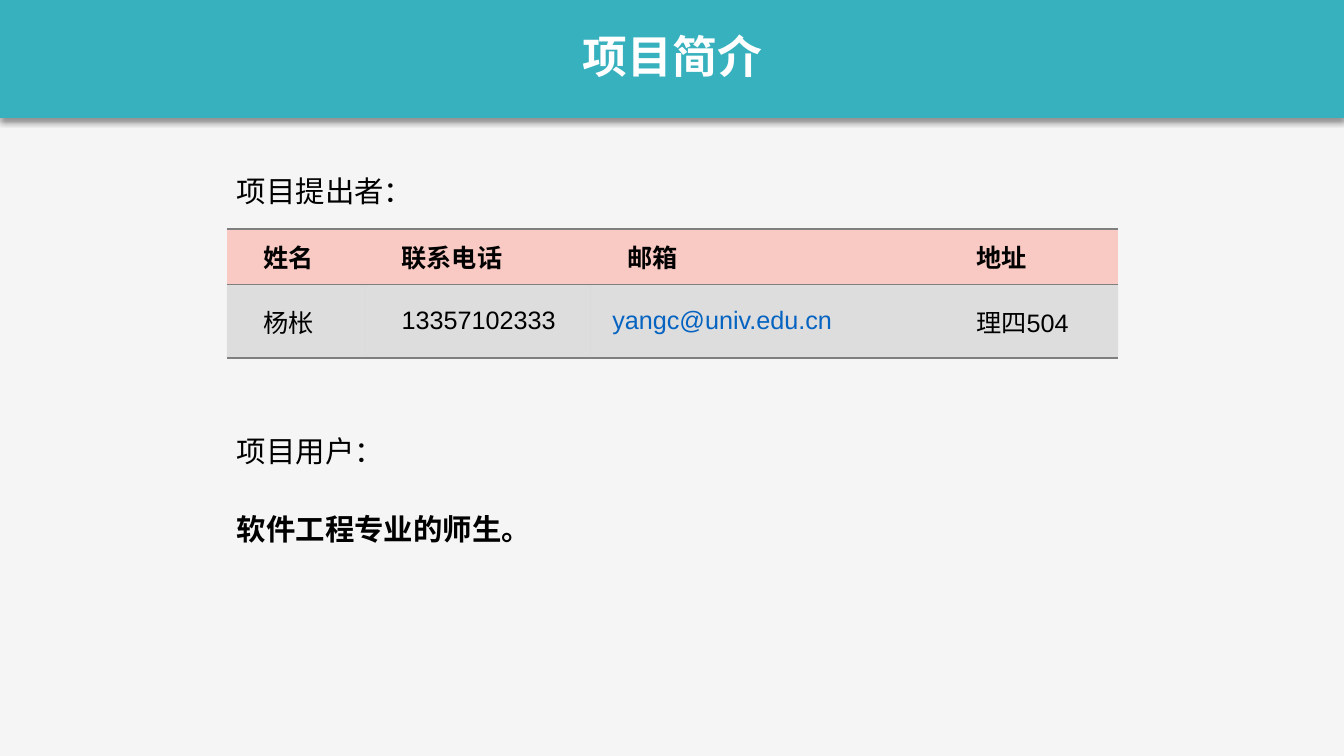
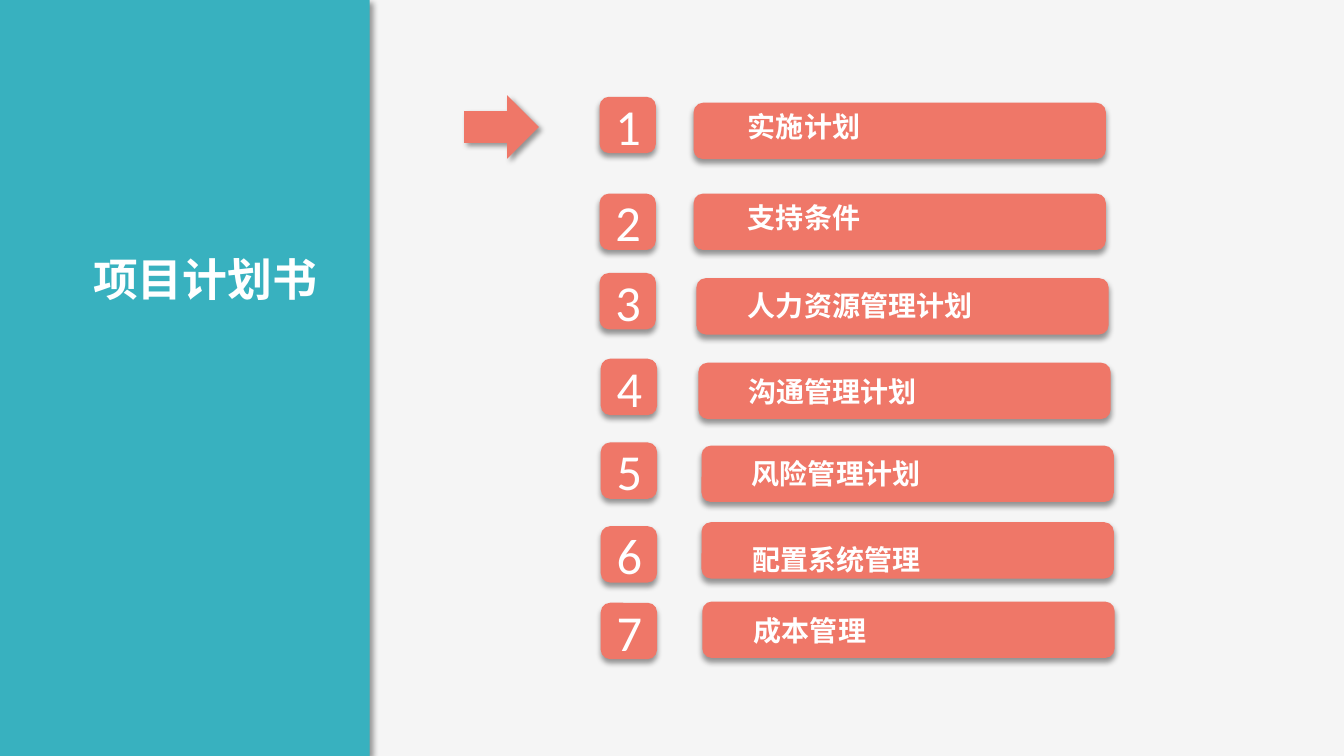
from dataclasses import dataclass

from lxml.etree import SubElement
from pptx import Presentation
from pptx.dml.color import RGBColor
from pptx.enum.shapes import MSO_SHAPE
from pptx.enum.text import MSO_ANCHOR, PP_ALIGN
from pptx.oxml import parse_xml
from pptx.oxml.ns import nsdecls, qn
from pptx.util import Cm, Pt


@dataclass(frozen=True)
class Theme:
    page: str = "F5F5F5"
    teal: str = "38B1BF"
    coral: str = "EF7768"
    pink: str = "F9C9C3"
    gray: str = "7F7F7F"
    blue: str = "0563C1"
    black: str = "000000"
    white: str = "FFFFFF"
    head: str = "Noto Sans CJK SC"
    body: str = "Calibri"
    grid: str = "Arial"
    title: int = 32
    digit: int = 36
    text: int = 21
    label: int = 20
    cell: int = 18


T = Theme()
WIDE, HIGH = 33.87, 19.05
THIN, LOOSE = (0.25, 0.13), (0.33, 0.18)

INTRO = "项目简介"
NOTES = [  # text, top, width, bold
    ("项目提出者：", 4.24, 10.03, False),
    ("项目用户：", 10.8, 4.17, False),
    ("软件工程专业的师生。", 12.75, 18.67, True),
]
LEFT = 5.72
COLS = [3.48, 5.69, 8.79, 4.5]
ROWS = [1.4, 1.85]
CELLS = [
    ["姓名", "联系电话", "邮箱", "地址"],
    ["杨枨", "13357102333", "yangc@univ.edu.cn", "理四504"],
]

PLAN = "项目计划书"
STEPS = [  # text, digit (left, top), bar (left, top), label (left, top)
    ("实施计划", (15.11, 2.44), (17.48, 2.59), (18.52, 2.59)),
    ("支持条件", (15.11, 4.88), (17.48, 4.88), (18.52, 4.88)),
    ("人力资源管理计划", (15.11, 6.88), (17.55, 7.01), (18.52, 7.11)),
    ("沟通管理计划", (15.14, 9.04), (17.6, 9.14), (18.54, 9.27)),
    ("风险管理计划", (15.14, 11.15), (17.68, 11.23), (18.62, 11.33)),
    ("配置系统管理", (15.14, 13.26), (17.68, 13.16), (18.64, 13.49)),
    ("成本管理", (15.14, 15.19), (17.7, 15.16), (18.67, 15.29)),
]
SIDE, BAR, LABEL = 1.42, 10.39, (7.59, 1.19)


def rgb(hue):
    return RGBColor.from_string(hue)


def box(*nums):
    return [Cm(n) for n in nums]


def write(para, text, font, size, hue, bold=False):
    """Add one run, with the CJK face set next to the Latin one."""
    run = para.add_run()
    run.text = text
    face = run.font
    face.size, face.bold, face.name = Pt(size), bold, font
    face.color.rgb = rgb(hue)
    SubElement(face._element, qn("a:ea")).set("typeface", T.head)


def fit(frame, pad, align=PP_ALIGN.LEFT, wrap=True):
    """Set insets, wrap and anchor; return the first paragraph."""
    frame.margin_left = frame.margin_right = Cm(pad[0])
    frame.margin_top = frame.margin_bottom = Cm(pad[1])
    frame.word_wrap = wrap
    frame.vertical_anchor = MSO_ANCHOR.MIDDLE
    para = frame.paragraphs[0]
    para.alignment = align
    return para


def block(shapes, kind, spot, hue, angle=90):
    """Draw a filled preset shape with a soft shadow."""
    shape = shapes.add_shape(kind, *box(*spot))
    shape.fill.solid()
    shape.fill.fore_color.rgb = rgb(hue)
    shape.line.fill.background()
    shape.shadow.inherit = False
    shape._element.spPr.find(qn("a:effectLst")).append(parse_xml(
        f'<a:outerShdw {nsdecls("a")} blurRad="{Pt(4)}" dist="{Pt(3)}" '
        f'dir="{angle * 60000}" algn="ctr" rotWithShape="0">'
        f'<a:srgbClr val="{T.black}"><a:alpha val="40000"/></a:srgbClr>'
        '</a:outerShdw>'))
    return shape


def note(shapes, text, spot, pad, *style):
    area = shapes.add_textbox(*box(*spot))
    write(fit(area.text_frame, pad), text, *style)


def start(deck, text, spot, pad, align, wrap, band, angle):
    """Add a slide with its title on a teal band."""
    slide = deck.slides.add_slide(deck.slide_layouts[5])
    title = slide.shapes.title
    title.left, title.top, title.width, title.height = box(*spot)
    para = fit(title.text_frame, pad, align, wrap)
    write(para, text, T.head, T.title, T.white, True)
    back = block(slide.shapes, MSO_SHAPE.RECTANGLE, band, T.teal, angle)
    title._element.addprevious(back._element)
    return slide.shapes


def rule(cell):
    """Draw the gray lines above and below a cell."""
    props = cell._tc.get_or_add_tcPr()
    for tag in ("lnB", "lnT"):
        props.insert(0, parse_xml(
            f'<a:{tag} {nsdecls("a")} w="{Pt(1)}"><a:solidFill>'
            f'<a:srgbClr val="{T.gray}"/></a:solidFill></a:{tag}>'))


def paint(cell, top):
    cell.fill.solid()
    cell.fill.fore_color.rgb = rgb(T.pink if top else T.gray)
    if not top:
        tint = cell._tc.tcPr.find(f'{qn("a:solidFill")}/{qn("a:srgbClr")}')
        SubElement(tint, qn("a:alpha")).set("val", "20000")
    rule(cell)


def table(shapes):
    spot = box(LEFT, 5.77, sum(COLS), sum(ROWS))
    grid = shapes.add_table(len(ROWS), len(COLS), *spot).table
    style = grid._tbl.tblPr.find(qn("a:tableStyleId"))
    style.text = "{2D5ABB26-0587-4C30-8999-92F81FD0307C}"
    grid.horz_banding = False
    for col, wide in zip(grid.columns, COLS):
        col.width = Cm(wide)
    for r, line in enumerate(CELLS):
        grid.rows[r].height = Cm(ROWS[r])
        for c, text in enumerate(line):
            cell = grid.cell(r, c)
            paint(cell, r == 0)
            cell.margin_left = cell.margin_right = Cm(0.18)
            cell.margin_top = cell.margin_bottom = 0
            cell.vertical_anchor = MSO_ANCHOR.MIDDLE
            mail = "@" in text
            para = cell.text_frame.paragraphs[0]
            para._p.get_or_add_pPr().set("indent", str(Cm(0.36 if mail else 0.74)))
            write(para, text, T.grid, T.cell, T.blue if mail else T.black, r == 0)


def intro(deck):
    shapes = start(deck, INTRO, (14.43, 0.58, 5.03, 1.63), THIN,
                   PP_ALIGN.CENTER, False, (0, 0, WIDE, 2.97), 90)
    table(shapes)
    for text, top, wide, bold in NOTES:
        note(shapes, text, (LEFT, top, wide, 1.14), THIN,
             T.body, T.text, T.black, bold)


def plan(deck):
    shapes = start(deck, PLAN, (0.53, 6.17, 7.8, 1.7), LOOSE,
                   PP_ALIGN.RIGHT, True, (0, 0, 9.32, HIGH), 45)
    block(shapes, MSO_SHAPE.RIGHT_ARROW, (11.7, 2.4, 1.88, 1.6), T.coral, 45)
    form = MSO_SHAPE.ROUNDED_RECTANGLE
    for num, (text, tile, bar, label) in enumerate(STEPS, 1):
        digit = block(shapes, form, (*tile, SIDE, SIDE), T.coral)
        para = fit(digit.text_frame, LOOSE, PP_ALIGN.CENTER)
        write(para, str(num), T.body, T.digit, T.white)
        group = shapes.add_group_shape().shapes
        block(group, form, (*bar, BAR, SIDE), T.coral)
        note(group, text, (*label, *LABEL), LOOSE,
             T.head, T.label, T.white, True)


def main():
    deck = Presentation()
    deck.slide_width, deck.slide_height = box(WIDE, HIGH)
    back = deck.slide_master.background.fill
    back.solid()
    back.fore_color.rgb = rgb(T.page)
    intro(deck)
    plan(deck)
    deck.save("out.pptx")


if __name__ == "__main__":
    main()
